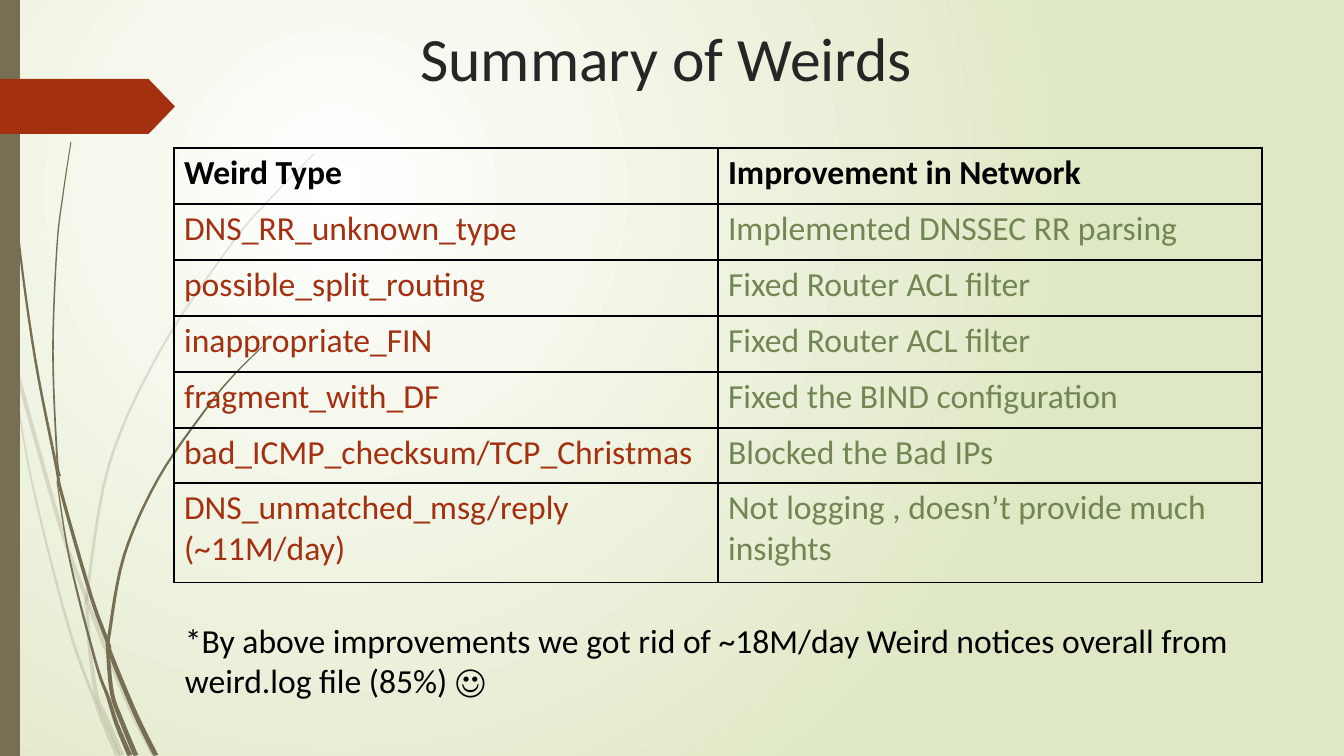
from math import hypot

from lxml import etree
from pptx import Presentation
from pptx.dml.color import RGBColor
from pptx.enum.shapes import MSO_SHAPE
from pptx.enum.text import MSO_ANCHOR, PP_ALIGN
from pptx.oxml.ns import qn
from pptx.util import Emu, Pt

RECTANGLE = MSO_SHAPE.RECTANGLE
ARROW_TAG = MSO_SHAPE.PENTAGON
TOP = MSO_ANCHOR.TOP
LEFT, CENTER = PP_ALIGN.LEFT, PP_ALIGN.CENTER

EMU_PER_PX = 914400 / 100.8
WIDTH, HEIGHT = 1344, 756
CURVE_STEPS = 6
FONT = "Calibri"
BLACK, TITLE_GRAY = "000000", "262626"
BROWN, RUST, GREEN = "766F54", "A53010", "728653"

HEADER = ("Weird Type", "Improvement in Network")
ROWS = [
    ("DNS_RR_unknown_type", "Implemented DNSSEC RR parsing"),
    ("possible_split_routing", "Fixed Router ACL filter"),
    ("inappropriate_FIN", "Fixed Router ACL filter"),
    ("fragment_with_DF", "Fixed the BIND configuration"),
    ("bad_ICMP_checksum/TCP_Christmas", "Blocked the Bad IPs"),
    ("DNS_unmatched_msg/reply (~11M/day)",
     "Not logging , doesn’t provide much insights"),
]
ROW_HEIGHTS = [56] * 5 + [55, 100]
COLUMN_WIDTH = 544

# Grass blades: centre line from tip to root, joints (point numbers), tip and root width
PALE_BLADES = [
    ([(0, 290), (11, 350), (15, 365), (60, 525), (87, 600), (126, 699), (154, 756)],
     (1, 4), 4, 4),
    ([(11, 353), (30, 473), (68, 625), (97, 706), (102, 719), (118, 756)], (4,), 1, 5),
    ([(314, 154), (270, 199), (230, 246), (160, 351), (109, 465), (87, 595),
      (87, 609), (90, 651), (97, 697), (108, 722), (122, 756)], (5, 6, 8, 9), 1, 5),
]
DARK_BLADES = [
    ([(3, 0), (5, 48), (8, 111), (18, 234), (35, 358), (56, 465), (62, 495),
      (91, 596), (108, 643), (111, 655), (135, 713), (156, 756)], (5, 6, 8, 9), 1, 5),
    ([(57, 481), (70, 561), (96, 663), (108, 697), (117, 725), (130, 756)], (4,), 1, 5),
    ([(71, 142), (63, 195), (57, 247), (53, 352), (57, 455), (60, 476)], (), 1, 2),
    ([(262, 347), (233, 376), (206, 409), (158, 479), (124, 556), (109, 636),
      (108, 650), (112, 693), (122, 722), (136, 756)], (6, 7, 8), 1, 5),
]


def px(value):
    return Emu(round(value * EMU_PER_PX))


def color(hex_value):
    return RGBColor.from_string(hex_value)


def paint(shape, hex_value, opacity=100):
    shape.shadow.inherit = False
    shape.fill.solid()
    shape.fill.fore_color.rgb = color(hex_value)
    shape.line.fill.background()
    if opacity < 100:
        solid = shape.element.spPr.find(qn("a:solidFill"))
        etree.SubElement(solid[0], qn("a:alpha"), val=str(opacity * 1000))


def set_background(slide):
    fill = slide.background.fill
    fill.gradient()
    for stop, hex_value, position in zip(fill.gradient_stops, ("FFFFFF", "DFE8C4"), (0, 1)):
        stop.color.rgb = color(hex_value)
        stop.position = position
    gradient = slide.element.find(".//" + qn("a:gradFill"))
    gradient.remove(gradient.find(qn("a:lin")))
    radial = etree.SubElement(gradient, qn("a:path"), path="circle")
    etree.SubElement(radial, qn("a:fillToRect"),
                     l="50000", t="50000", r="100000", b="100000")


def smooth_line(points):
    """Catmull-Rom curve through the points."""
    padded = [points[0], *points, points[-1]]
    curve = []
    for before, start, end, after in zip(padded, padded[1:], padded[2:], padded[3:]):
        for step in range(CURVE_STEPS):
            t = step / CURVE_STEPS
            curve.append(tuple(
                b + t * (c - a) / 2 + t * t * (a - 2.5 * b + 2 * c - d / 2)
                + t ** 3 * (1.5 * (b - c) + (d - a) / 2)
                for a, b, c, d in zip(before, start, end, after)))
    return curve + [points[-1]]


def add_blade(slide, points, joints, tip_width, root_width, opacity):
    curve = smooth_line(points)
    last = len(curve) - 1
    left_side, right_side = [], []
    for index, (x, y) in enumerate(curve):
        x0, y0 = curve[max(index - 1, 0)]
        x1, y1 = curve[min(index + 1, last)]
        half = (tip_width + (root_width - tip_width) * index / last) / 2
        length = hypot(x1 - x0, y1 - y0)
        dx, dy = half * (y1 - y0) / length, half * (x1 - x0) / length
        for side, sign in ((left_side, -1), (right_side, 1)):
            edge_y = min(max(y - sign * dy, 0), HEIGHT)
            side.append((px(max(x + sign * dx, 0)), px(edge_y)))

    # One outline per section between joints
    cuts = [0, *(joint * CURVE_STEPS for joint in joints), last]
    for first, final in zip(cuts, cuts[1:]):
        section = slice(first, final + 1)
        outline = left_side[section] + right_side[section][::-1]
        builder = slide.shapes.build_freeform(*outline[0])
        builder.add_line_segments(outline[1:], close=True)
        paint(builder.convert_to_shape(), BROWN, opacity)


def add_block(slide, kind, left, top, width, height, hex_value):
    shape = slide.shapes.add_shape(kind, px(left), px(top), px(width), px(height))
    paint(shape, hex_value)
    return shape


def write(text_frame, text, size, hex_value, bold=False, align=LEFT):
    text_frame.text = text
    text_frame.word_wrap = True
    paragraph = text_frame.paragraphs[0]
    paragraph.alignment = align
    font = paragraph.runs[0].font
    font.name, font.size, font.bold = FONT, Pt(size), bold
    font.color.rgb = color(hex_value)


def add_text(slide, left, top, width, height, text, size, hex_value, align=LEFT):
    box = slide.shapes.add_textbox(px(left), px(top), px(width), px(height))
    box.text_frame.vertical_anchor = TOP
    write(box.text_frame, text, size, hex_value, align=align)


def set_borders(cell):
    properties = cell._tc.get_or_add_tcPr()
    for position, side in enumerate(("lnL", "lnR", "lnT", "lnB")):
        line = etree.Element(qn("a:" + side), w=str(Pt(1)))
        solid = etree.SubElement(line, qn("a:solidFill"))
        etree.SubElement(solid, qn("a:srgbClr"), val=BLACK)
        properties.insert(position, line)


def add_weird_table(slide, left, top):
    content = [HEADER, *ROWS]
    frame = slide.shapes.add_table(len(content), len(HEADER), px(left), px(top),
                                   px(COLUMN_WIDTH * len(HEADER)), px(sum(ROW_HEIGHTS)))
    table = frame.table
    table.first_row = table.horz_banding = False
    for column in table.columns:
        column.width = px(COLUMN_WIDTH)
    for row_index, texts in enumerate(content):
        table.rows[row_index].height = px(ROW_HEIGHTS[row_index])
        is_header = row_index == 0
        for column_index, text in enumerate(texts):
            cell = table.cell(row_index, column_index)
            cell.fill.background()
            set_borders(cell)
            hex_value = BLACK if is_header else (RUST, GREEN)[column_index]
            write(cell.text_frame, text, 24, hex_value, bold=is_header)


def main():
    presentation = Presentation()
    presentation.slide_width, presentation.slide_height = px(WIDTH), px(HEIGHT)
    slide = presentation.slides.add_slide(presentation.slide_layouts[6])

    # Backdrop: gradient, grass, side bar and tag
    set_background(slide)
    for blades, opacity in ((PALE_BLADES, 20), (DARK_BLADES, 100)):
        for points, joints, tip_width, root_width in blades:
            add_blade(slide, points, joints, tip_width, root_width, opacity)
    add_block(slide, RECTANGLE, 0, 0, 20, HEIGHT, BROWN)
    tag = add_block(slide, ARROW_TAG, 0, 79, 175, 55, RUST)
    tag.adjustments[0] = 0.48

    # Title, table and closing note
    add_text(slide, 175, 15, 983, 141, "Summary of Weirds", 44, TITLE_GRAY, CENTER)
    add_weird_table(slide, 174, 148)
    add_text(slide, 175, 615, 1081, 92,
             "*By above improvements we got rid of ~18M/day Weird notices overall "
             "from weird.log file (85%) ☺", 24, BLACK)

    presentation.save("out.pptx")


if __name__ == "__main__":
    main()
